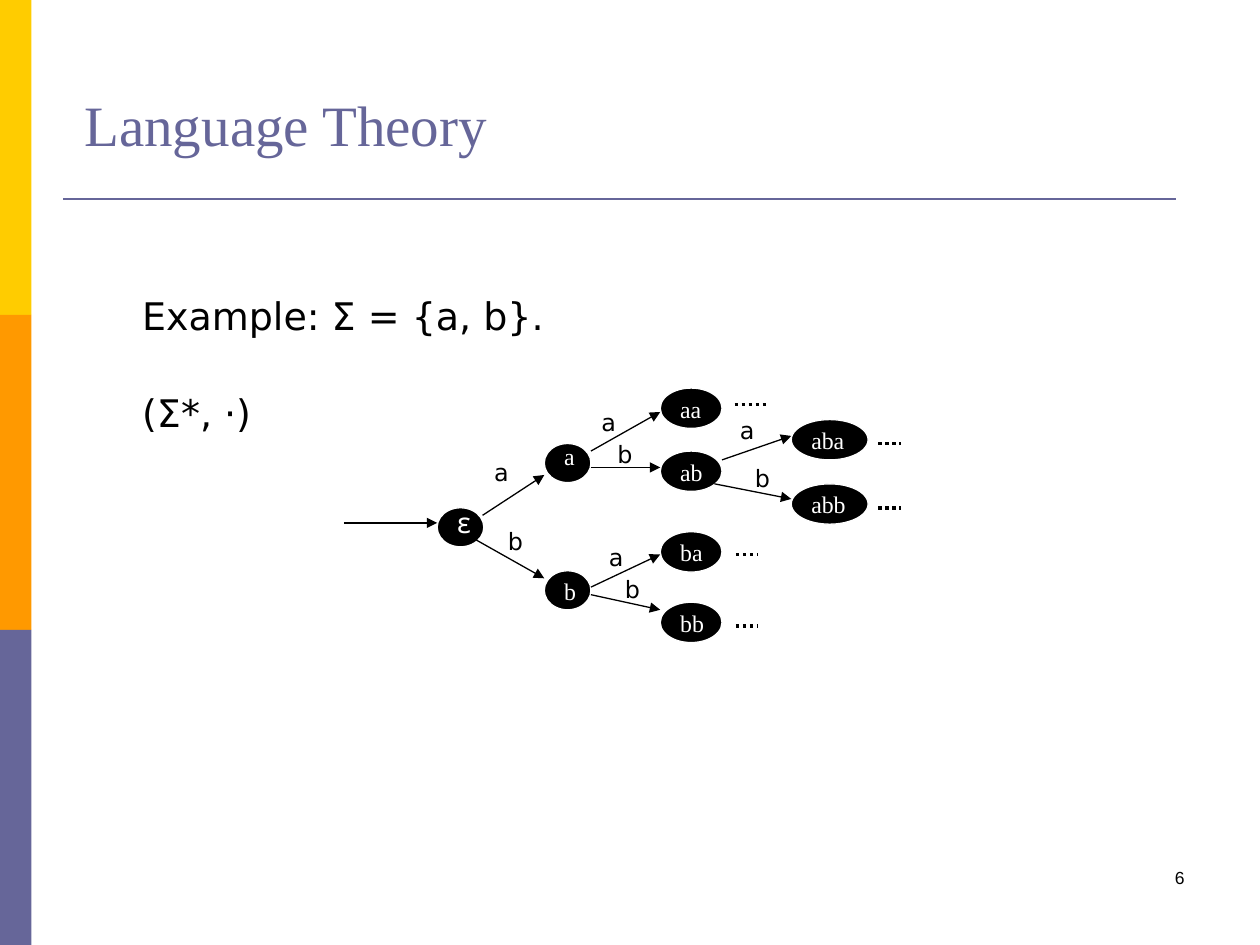
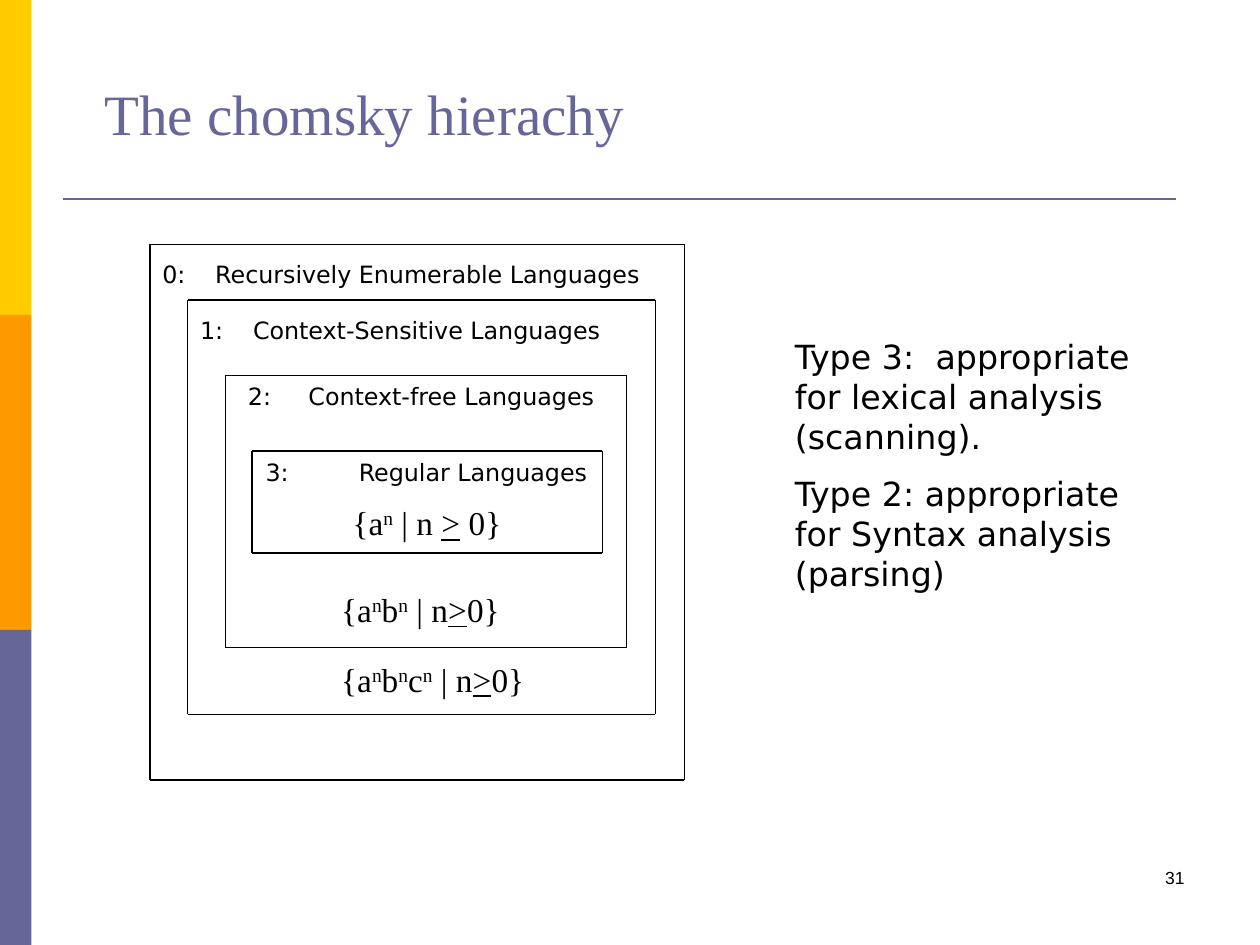
import pptx
import pptx.util
from lxml import etree
from pptx.dml.color import RGBColor
from pptx.enum.dml import MSO_LINE
from pptx.enum.shapes import MSO_CONNECTOR, MSO_SHAPE
from pptx.enum.text import MSO_ANCHOR, PP_ALIGN
from pptx.oxml.ns import qn
from pptx.util import Inches, Pt

BLACK = RGBColor(0x00, 0x00, 0x00)
WHITE = RGBColor(0xFF, 0xFF, 0xFF)
YELLOW = RGBColor(0xFF, 0xCC, 0x00)
ORANGE = RGBColor(0xFF, 0x99, 0x00)
SLATE = RGBColor(0x66, 0x66, 0x99)

SERIF = "Times New Roman"
SANS = "DejaVu Sans"
TITLE = {"name": SERIF, "size": Pt(32.6), "color": SLATE}
BODY = {"name": SANS, "size": Pt(21.75)}
NOTE = {"name": SANS, "size": Pt(19.05)}
LABEL = {"name": SANS, "size": Pt(13.6)}
FORMULA = {"name": SERIF, "size": Pt(19.05)}
NODE = {"name": SERIF, "size": Pt(13.6), "color": WHITE}
ROOT = {"name": "Quicksand", "size": Pt(16.3), "color": WHITE}
NUMBER = {"name": "Arial", "size": Pt(10)}

# Word: left, top, width, height of its ellipse
NODES = {
    "ε": (3.47, 4.03, 0.37, 0.31),
    "a": (4.32, 3.52, 0.37, 0.31),
    "b": (4.32, 4.53, 0.37, 0.31),
    "aa": (5.24, 3.08, 0.49, 0.32),
    "ab": (5.24, 3.58, 0.49, 0.32),
    "ba": (5.24, 4.22, 0.49, 0.32),
    "bb": (5.24, 4.78, 0.49, 0.32),
    "aba": (6.28, 3.33, 0.61, 0.32),
    "abb": (6.28, 3.84, 0.61, 0.32),
}
WORD_INDENT = 0.06
WORD_RISE = {"ε": 0.07, "a": 0.06}
START_ARROW = (2.73, 4.15, 3.47, 4.15)
# Letter, arrow from x, y to x, y, then left and top of the letter
EDGES = [
    ("a", (3.83, 4.09, 4.32, 3.77), (3.82, 3.58)),
    ("b", (3.77, 4.28, 4.32, 4.59), (3.93, 4.13)),
    ("a", (4.69, 3.58, 5.24, 3.27), (4.67, 3.19)),
    ("b", (4.69, 3.71, 5.24, 3.71), (4.8, 3.44)),
    ("a", (4.69, 4.66, 5.24, 4.4), (4.73, 4.26)),
    ("b", (4.69, 4.72, 5.24, 4.84), (4.86, 4.51)),
    ("a", (5.73, 3.65, 6.28, 3.46), (5.77, 3.25)),
    ("b", (5.67, 3.84, 6.28, 3.96), (5.89, 3.63)),
]
# Left, y and length of the dots after a word
CONTINUATIONS = [
    (5.83, 3.21, 0.25),
    (5.84, 4.4, 0.18),
    (5.84, 4.97, 0.18),
    (6.97, 3.52, 0.18),
    (6.97, 4.03, 0.18),
]
# Name, left, top, right, bottom of the frame, corner of the name, tab stop
LEVELS = [
    ("Recursively Enumerable Languages", (1.19, 1.94, 5.43, 6.19), (1.19, 2.01), 0.42),
    ("Context-Sensitive Languages", (1.49, 2.38, 5.2, 5.67), (1.49, 2.46), 0.42),
    ("Context-free Languages", (1.79, 2.98, 4.97, 5.14), (1.87, 2.98), 0.48),
    ("Regular Languages", (2, 3.58, 4.78, 4.39), (2.01, 3.58), 0.74),
]
# Letters raised to n, gap around the condition sign, left and top
FORMULAS = [
    ("a", " ", (2.7, 3.94)),
    ("ab", "", (2.61, 4.63)),
    ("abc", "", (2.61, 5.18)),
]


def set_values(target, values):
    for name, value in values.items():
        setattr(target, name, value)


def add_run(paragraph, text, style, **extra):
    run = paragraph.add_run()
    run.text = text
    values = {"color": BLACK, **style, **extra}
    run.font.color.rgb = values.pop("color")
    set_values(run.font, values)
    return run


def add_text(slide, box, texts, style, paragraph_format=None, **frame_format):
    """Add a text box with one paragraph for each text and return its paragraphs."""
    frame = slide.shapes.add_textbox(*map(Inches, box)).text_frame
    set_values(frame, {"word_wrap": True, **frame_format})
    for index, text in enumerate(texts):
        paragraph = frame.paragraphs[0] if index == 0 else frame.add_paragraph()
        set_values(paragraph, paragraph_format or {})
        if index == 0:
            paragraph.space_before = Pt(0)
        if text:
            add_run(paragraph, text, style)
    return frame.paragraphs


def add_shape(slide, kind, box, fill, line=None):
    shape = slide.shapes.add_shape(kind, *map(Inches, box))
    shape.shadow.inherit = False
    shape.fill.solid()
    shape.fill.fore_color.rgb = fill
    if line is None:
        shape.line.fill.background()
    else:
        shape.line.color.rgb = line
        shape.line.width = Pt(0.75)


def add_line(slide, ends, color=BLACK, width=0.75, dash=None, arrow=False):
    connector = slide.shapes.add_connector(MSO_CONNECTOR.STRAIGHT, *map(Inches, ends))
    connector.line.color.rgb = color
    connector.line.width = Pt(width)
    if dash is not None:
        connector.line.dash_style = dash
    if arrow:
        etree.SubElement(connector.line._get_or_add_ln(), qn("a:tailEnd"), type="triangle")
    etree.SubElement(connector._element.spPr, qn("a:effectLst"))


def add_frame(slide, left, top, right, bottom):
    """Draw the four sides of a frame as lines."""
    for y in (top, bottom):
        add_line(slide, (left, y, right, y))
    for x in (left, right):
        add_line(slide, (x, top, x, bottom))


def add_base_slide(presentation, title, title_left, title_top, number):
    slide = presentation.slides.add_slide(presentation.slide_layouts[6])
    for index, color in enumerate((YELLOW, ORANGE, SLATE)):
        add_shape(slide, MSO_SHAPE.RECTANGLE, (0, 2.5 * index, 0.25, 2.5), color)
    add_line(slide, (0.5, 1.58, 9.33, 1.58), SLATE, 1.5)
    add_text(slide, (title_left, title_top, 7.47, 0.94), [title], TITLE,
             vertical_anchor=MSO_ANCHOR.BOTTOM, margin_left=0, margin_right=0,
             margin_top=Inches(0.03), margin_bottom=0)
    add_text(slide, (7.17, 6.83, 2.33, 0.5), [str(number)], NUMBER,
             {"alignment": PP_ALIGN.RIGHT})
    return slide


def add_node(slide, word, box):
    add_shape(slide, MSO_SHAPE.OVAL, box, BLACK, WHITE)
    left, top, width, _ = box
    word_box = (left + WORD_INDENT, top - WORD_RISE.get(word, 0), width, 0.33)
    add_text(slide, word_box, [word], ROOT if word == "ε" else NODE)


def add_edge(slide, letter, ends, corner):
    add_line(slide, ends, arrow=True)
    add_text(slide, (*corner, 0.32, 0.33), [letter], LABEL,
             {"alignment": PP_ALIGN.CENTER}, word_wrap=False)


def add_level(slide, number, name, frame, corner, tab):
    add_frame(slide, *frame)
    paragraph = add_text(slide, (*corner, 4.3, 0.33), [f"{number}:\t{name}"], LABEL)[0]
    tabs = etree.SubElement(paragraph._p.get_or_add_pPr(), qn("a:tabLst"))
    etree.SubElement(tabs, qn("a:tab"), pos=str(Inches(tab)), algn="l")


def add_formula(slide, letters, gap, corner):
    """Write the set of words in which each letter is repeated n times."""
    paragraph = add_text(slide, (*corner, 2.0, 0.42), [""], FORMULA)[0]
    add_run(paragraph, "{", FORMULA)
    for letter in letters:
        add_run(paragraph, letter, FORMULA)
        exponent = add_run(paragraph, "n", FORMULA)
        exponent._r.get_or_add_rPr().set("baseline", "30000")
    add_run(paragraph, f" | n{gap}", FORMULA)
    add_run(paragraph, ">", FORMULA, underline=True)
    add_run(paragraph, f"{gap}0}}", FORMULA)


def build_language_theory(presentation):
    slide = add_base_slide(presentation, "Language Theory", 0.67, 0.31, 6)
    add_text(slide, (1.03, 1.88, 8.72, 3.91), ["Example: Σ = {a, b}.", "(Σ*, ·)"], BODY,
             {"line_spacing": 0.9, "space_before": Pt(32)}, margin_top=Inches(0.48))
    for word, box in NODES.items():
        add_node(slide, word, box)
    add_line(slide, START_ARROW, arrow=True)
    for edge in EDGES:
        add_edge(slide, *edge)
    for left, y, length in CONTINUATIONS:
        add_line(slide, (left, y, left + length, y), width=2, dash=MSO_LINE.ROUND_DOT)


def build_chomsky_hierarchy(presentation):
    slide = add_base_slide(presentation, "The chomsky hierachy", 0.83, 0.23, 31)
    for number, level in enumerate(LEVELS):
        add_level(slide, number, *level)
    for formula in FORMULAS:
        add_formula(slide, *formula)
    add_text(slide, (6.21, 2.62, 3.15, 2.18),
             ["Type 3:  appropriate for lexical analysis (scanning).",
              "Type 2: appropriate for Syntax analysis (parsing)"],
             NOTE, {"space_before": Pt(9.5)})


def main():
    presentation = pptx.Presentation()
    presentation.slide_width = Inches(10)
    presentation.slide_height = Inches(7.5)
    build_language_theory(presentation)
    build_chomsky_hierarchy(presentation)
    presentation.save("out.pptx")


if __name__ == "__main__":
    main()
